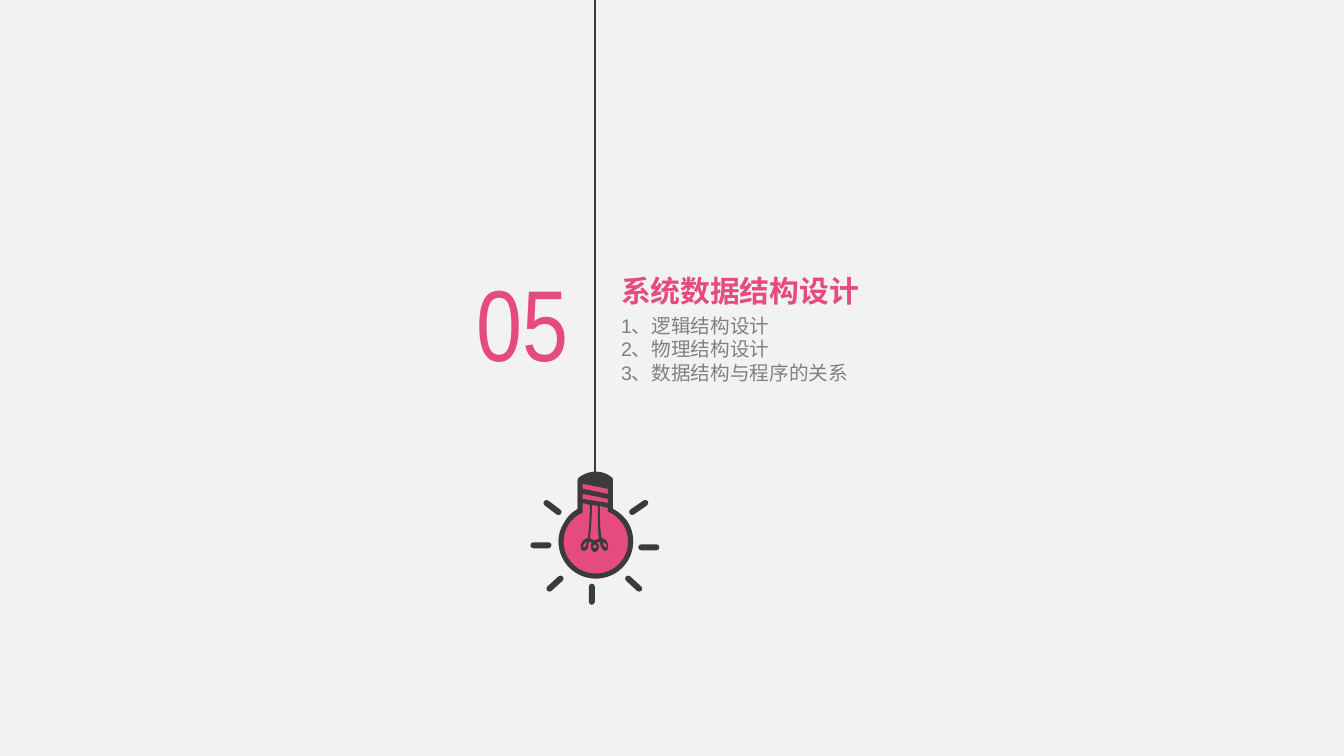
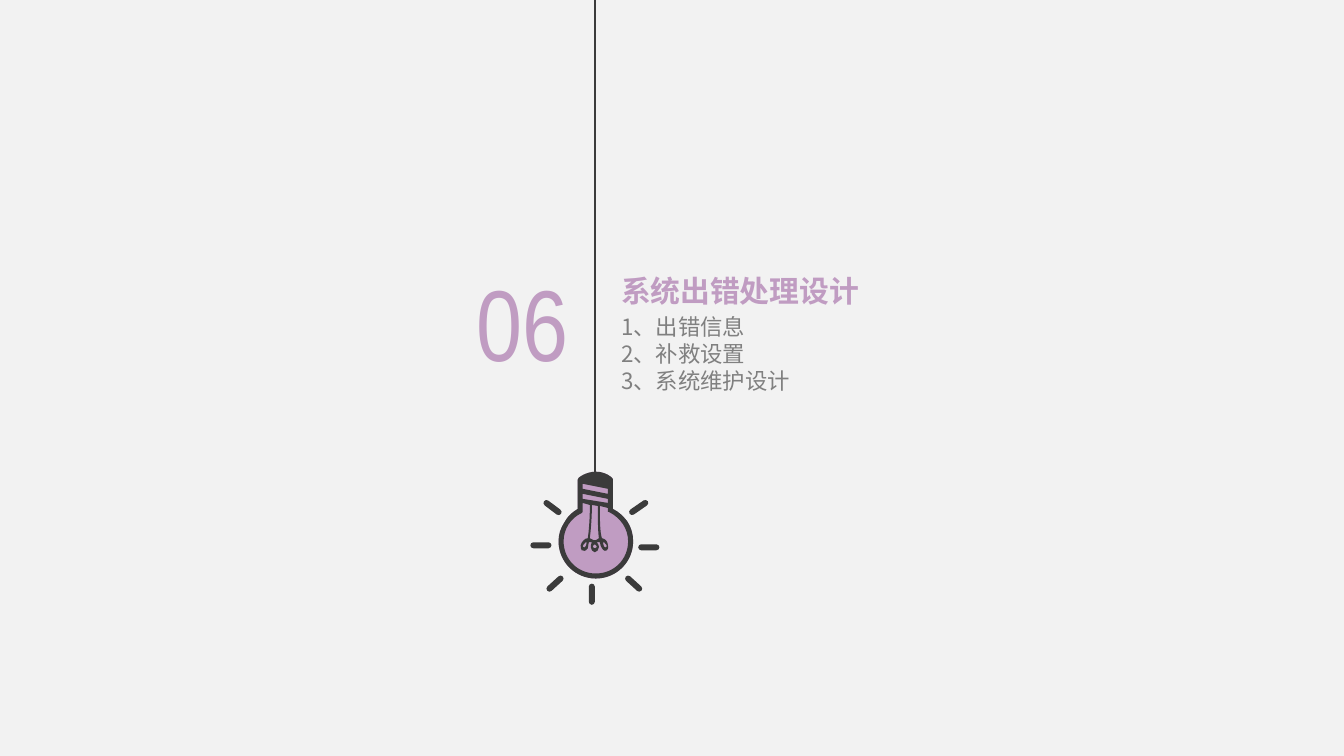
from math import hypot

from lxml import etree
from pptx import Presentation
from pptx.dml.color import RGBColor
from pptx.enum.shapes import MSO_CONNECTOR
from pptx.enum.text import MSO_ANCHOR, MSO_AUTO_SIZE, PP_ALIGN
from pptx.oxml.ns import qn
from pptx.util import Pt

PX = 9144  # 100 px to the inch
LEFT, CENTER = PP_ALIGN.LEFT, PP_ALIGN.CENTER
TOP, NO_AUTOFIT = MSO_ANCHOR.TOP, MSO_AUTO_SIZE.NONE
STRAIGHT = MSO_CONNECTOR.STRAIGHT

BACKGROUND = RGBColor(0xF2, 0xF2, 0xF2)
DARK = RGBColor(0x3B, 0x3B, 0x3B)
GREY = RGBColor(0x80, 0x80, 0x80)
PINK = RGBColor(0xE5, 0x4B, 0x81)
LILAC = RGBColor(0xC0, 0x9C, 0xC2)

SANS, NARROW, CJK = "Arial", "Arial Narrow", "Noto Sans CJK SC"
CJK_LEADING = 1.2
FILAMENT_AXIS = 590

# Contours in px: a start point, then (x, y) lines or six-number Bezier curves
BULB_OUTLINE = [
    (591, 574), (611, 574, 628, 558, 628, 537), (628, 530, 626, 523, 622, 517),
    (618, 512, 614, 508, 608, 505), (608, 476), (608, 476, 608, 475, 607, 474),
    (607, 474, 601, 468, 591, 468), (581, 468, 574, 474, 574, 474),
    (574, 475, 573, 475, 573, 476), (573, 505), (568, 508, 563, 512, 560, 518),
    (556, 524, 554, 530, 554, 537), (554, 558, 571, 574, 591, 574),
]
SCREW_THREADS = [
    [(578, 480), (603, 485), (603, 490), (578, 485)],
    [(578, 490), (603, 495), (603, 499), (578, 495)],
]
GLASS_INSIDE = [
    (577, 509), (578, 508), (578, 499), (585, 501), (585, 502, 585, 504, 585, 506),
    (585, 514, 584, 528, 583, 534), (581, 534, 580, 535, 579, 536),
    (577, 537, 577, 539, 576, 541), (576, 543, 576, 545, 577, 546),
    (579, 547, 581, 547, 583, 544), (583, 542, 584, 540, 584, 538),
    (585, 538, 586, 538, 587, 538), (586, 540, 586, 542, 586, 543),
    (586, 545, 588, 548, 590, 548), (592, 548, 594, 545, 594, 543),
    (594, 542, 594, 540, 592, 538), (593, 538, 594, 538, 595, 538),
    (595, 540, 596, 542, 597, 544), (599, 547, 601, 547, 602, 546),
    (603, 545, 604, 543, 603, 541), (603, 539, 602, 537, 601, 536),
    (600, 535, 598, 534, 597, 534), (595, 528, 595, 514, 595, 506),
    (595, 504, 595, 503, 595, 502), (603, 504), (603, 508), (604, 508),
    (616, 514, 623, 525, 623, 537), (623, 555, 609, 569, 591, 569),
    (573, 569, 559, 555, 559, 537), (559, 525, 566, 514, 577, 509),
]
BETWEEN_WIRES = [
    (591, 536), (590, 536), (589, 536), (588, 535, 586, 535, 585, 534),
    (586, 527, 587, 513, 587, 506), (587, 504, 587, 502, 587, 501), (593, 502),
    (593, 503, 593, 504, 593, 506), (593, 513, 593, 527, 594, 534),
    (593, 535, 592, 535, 591, 536),
]
MIDDLE_LOOP = [
    (592, 542), (592, 543, 591, 544, 590, 544), (589, 544, 588, 543, 588, 542),
    (588, 542, 588, 541, 590, 540), (591, 541, 592, 542, 592, 542),
]
LEFT_LOOP = [
    (582, 538), (582, 540, 581, 541, 581, 542), (580, 543, 579, 544, 579, 543),
    (578, 543, 578, 542, 578, 542), (578, 541, 579, 540, 580, 539),
    (580, 538, 581, 538, 582, 538),
]

# Rays: the centres of their two round ends
RAY_RADIUS = 3
ARC_HANDLE = 0.55
RAYS = [
    (636, 543, 651, 543), (587, 582, 587, 597), (529, 541, 544, 541),
    (542, 499, 554, 508), (627, 508, 640, 499),
    (545, 584, 556, 574), (623, 574, 634, 584),
]


def mirror(contour):
    return [tuple(2 * FILAMENT_AXIS - value if index % 2 == 0 else value
                  for index, value in enumerate(segment)) for segment in contour]


def capsule(x1, y1, x2, y2):
    """Outline of a bar with round ends."""
    length = hypot(x2 - x1, y2 - y1)
    along_x = (x2 - x1) / length * RAY_RADIUS
    along_y = (y2 - y1) / length * RAY_RADIUS

    def end_point(x, y, along, across):
        return (x + along * along_x - across * along_y,
                y + along * along_y + across * along_x)

    contour = []
    for x, y, side in ((x2, y2, 1), (x1, y1, -1)):
        contour.append(end_point(x, y, 0, -side))
        for handles in (((ARC_HANDLE, -1), (1, -ARC_HANDLE), (1, 0)),
                        ((1, ARC_HANDLE), (ARC_HANDLE, 1), (0, 1))):
            contour.append(tuple(value for along, across in handles for value in
                                 end_point(x, y, side * along, side * across)))
    return contour


def bend_segments(shape, contours):
    """Turn the freeform's straight segments into the contours' curves."""
    lines = shape._element.findall(".//" + qn("a:lnTo"))
    segments = [segment for contour in contours for segment in contour[1:]]
    for line, segment in zip(lines, segments):
        if len(segment) == 2:
            continue
        curve = etree.Element(qn("a:cubicBezTo"))
        for x, y in zip(segment[::2], segment[1::2]):
            point = etree.SubElement(curve, qn("a:pt"))
            point.set("x", str(round(x * PX) - shape.left))
            point.set("y", str(round(y * PX) - shape.top))
        line.getparent().replace(line, curve)


def add_outline(shapes, contours, color):
    """Filled freeform; the contours after the first are holes."""
    corners = [[(segment[-2] * PX, segment[-1] * PX) for segment in contour]
               for contour in contours]
    builder = shapes.build_freeform(*corners[0][0])
    for index, points in enumerate(corners):
        if index:
            builder.move_to(*points[0])
        # One line for each segment; the closing line is left to the contour
        builder.add_line_segments(points[1:], close=False)
        builder._add_close()
    shape = builder.convert_to_shape()
    bend_segments(shape, contours)
    shape.shadow.inherit = False
    shape.fill.solid()
    shape.fill.fore_color.rgb = color
    shape.line.fill.background()


def add_cord(shapes):
    cord = shapes.add_connector(STRAIGHT, 590 * PX, 476 * PX, 590 * PX, 0)
    cord.line.color.rgb = DARK
    cord.line.width = Pt(1)
    etree.SubElement(cord._element.spPr, qn("a:effectLst"))


def add_bulb(slide, color):
    group = slide.shapes.add_group_shape()
    slide.shapes.title._element.addprevious(group._element)  # behind the text
    add_outline(group.shapes, [BULB_OUTLINE], color)
    add_outline(group.shapes, [BULB_OUTLINE, *SCREW_THREADS, BETWEEN_WIRES, MIDDLE_LOOP,
                               GLASS_INSIDE, LEFT_LOOP, mirror(LEFT_LOOP)], DARK)
    for ray in RAYS:
        add_outline(group.shapes, [capsule(*ray)], DARK)
    add_cord(group.shapes)


def set_text(shape, lines, box, size, color, font=SANS, bold=False, align=LEFT,
             insets=(0, 0, 0, 0), leading=None):
    """Place a text shape and write one paragraph per line."""
    shape.left, shape.top, shape.width, shape.height = (value * PX for value in box)
    frame = shape.text_frame
    frame.word_wrap = True
    frame.auto_size = NO_AUTOFIT
    frame.vertical_anchor = TOP
    (frame.margin_left, frame.margin_top,
     frame.margin_right, frame.margin_bottom) = (value * PX for value in insets)
    frame.text = "\n".join(lines)
    for paragraph in frame.paragraphs:
        paragraph.alignment = align
        paragraph.space_before = paragraph.space_after = Pt(0)
        if leading:
            paragraph.line_spacing = Pt(round(size * leading, 1))
        properties = paragraph._p.get_or_add_pPr()
        properties.set("marL", "0")
        properties.set("indent", "0")
        etree.SubElement(properties, qn("a:buNone"))
        run_font = paragraph.runs[0].font
        run_font.name = font
        run_font.size = Pt(size)
        run_font.bold = bold
        run_font.color.rgb = color
        east_asian = etree.SubElement(run_font._element, qn("a:ea"))
        east_asian.set("typeface", CJK)


def add_section(presentation, number, title, items, color, item_size, item_font,
                list_height):
    slide = presentation.slides.add_slide(presentation.slide_layouts[1])
    add_bulb(slide, color)
    set_text(slide.shapes.title, [title], (616, 270, 456, 36), 21.3, color,
             bold=True, leading=CJK_LEADING)
    set_text(slide.placeholders[1], items, (616, 306, 483, list_height), item_size, GREY,
             font=item_font, insets=(0, 5, 10, 5), leading=CJK_LEADING)
    set_text(slide.shapes.add_textbox(0, 0, 0, 0), [number], (456, 259, 124, 121), 72,
             color, font=NARROW, align=CENTER)


def main():
    presentation = Presentation()
    presentation.slide_width, presentation.slide_height = 1333 * PX, 750 * PX
    background = presentation.slide_master.background.fill
    background.solid()
    background.fore_color.rgb = BACKGROUND
    add_section(presentation, "05", "系统数据结构设计",
                ["1、逻辑结构设计", "2、物理结构设计", "3、数据结构与程序的关系"],
                PINK, 14, SANS, 104)
    add_section(presentation, "06", "系统出错处理设计",
                ["1、出错信息", "2、补救设置", "3、系统维护设计"],
                LILAC, 16, CJK, 114)
    presentation.save("out.pptx")


if __name__ == "__main__":
    main()
